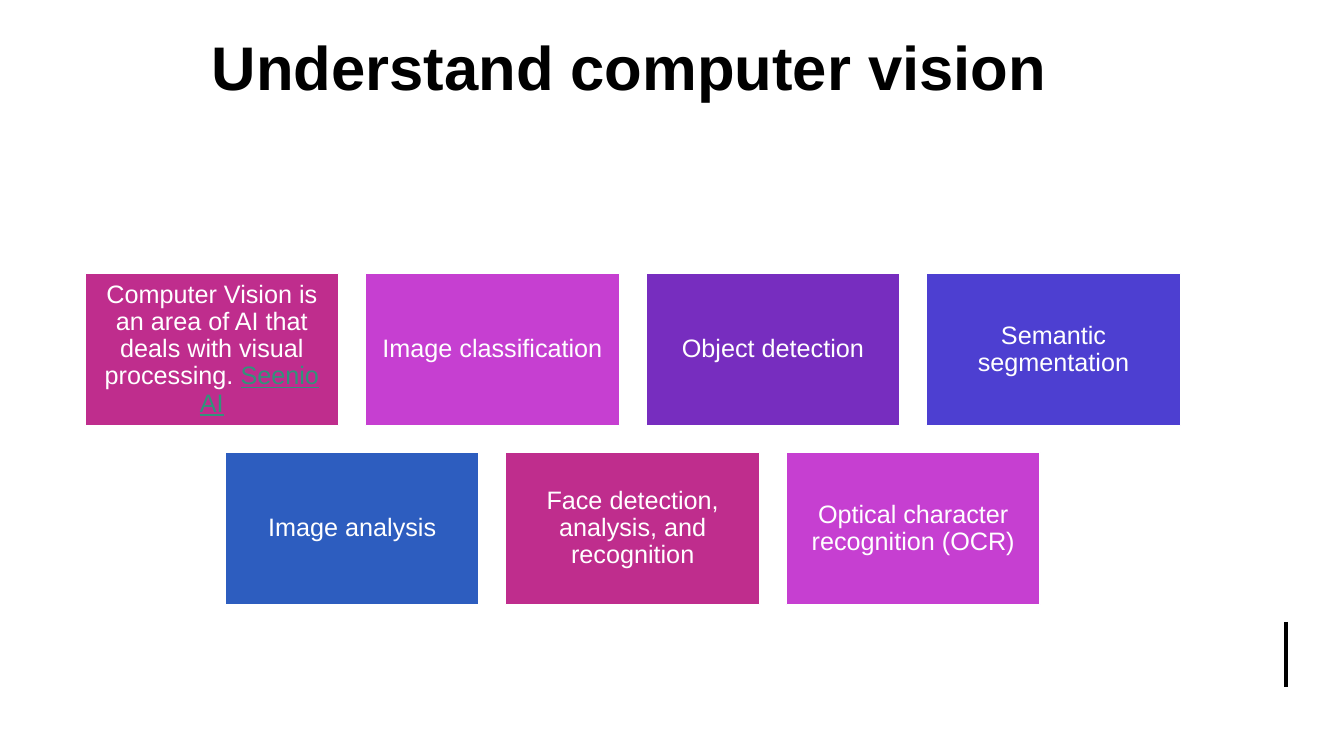
import dataclasses
import itertools

import pptx
import pptx.dml.color
import pptx.enum.shapes
import pptx.enum.text
import pptx.oxml.ns
import pptx.util
from lxml import etree
from pptx.util import Cm


@dataclasses.dataclass(frozen=True)
class Theme:
    font: str = "Arial"
    title_size: int = 44
    card_size: int = 18
    black: str = "000000"
    white: str = "FFFFFF"
    link: str = "31937B"
    cards: tuple = ("BF2D8D", "C63FD1", "772DBF", "4D3FD1", "2D5DBF")


def rgb(value):
    return pptx.dml.color.RGBColor.from_string(value)


def add_text(p, text, font, size, color, bold=False, underline=False):
    """Append a formatted run to a centred paragraph."""
    p.alignment = pptx.enum.text.PP_ALIGN.CENTER
    p.line_spacing = 0.9
    r = p.add_run()
    r.text = text
    r.font.name = font
    r.font.size = pptx.util.Pt(size)
    r.font.color.rgb = rgb(color)
    r.font.bold = bold
    r.font.underline = underline


class SlideBuilder:
    def __init__(self, s, theme):
        self.s = s
        self.theme = theme
        s.background.fill.solid()
        s.background.fill.fore_color.rgb = rgb(theme.white)

    def title(self, text, left, top, width, height):
        sp = self.s.shapes.title
        sp.left, sp.top, sp.width, sp.height = map(Cm, (left, top, width, height))
        tf = sp.text_frame
        tf.word_wrap = True
        tf.auto_size = pptx.enum.text.MSO_AUTO_SIZE.NONE
        tf.vertical_anchor = pptx.enum.text.MSO_ANCHOR.TOP
        add_text(tf.paragraphs[0], text, self.theme.font, self.theme.title_size,
                 self.theme.black, bold=True)

    def card(self, text, fill, left, top, width, height, link=""):
        sp = self.s.shapes.add_shape(pptx.enum.shapes.MSO_SHAPE.RECTANGLE,
                                     Cm(left), Cm(top), Cm(width), Cm(height))
        sp.shadow.inherit = False
        sp.fill.solid()
        sp.fill.fore_color.rgb = rgb(fill)
        sp.line.color.rgb = rgb(self.theme.white)
        sp.line.width = pptx.util.Pt(1)
        tf = sp.text_frame
        tf.word_wrap = True
        tf.vertical_anchor = pptx.enum.text.MSO_ANCHOR.MIDDLE
        tf.margin_left = tf.margin_right = tf.margin_top = tf.margin_bottom = Cm(0.18)
        p = tf.paragraphs[0]
        add_text(p, text, self.theme.font, self.theme.card_size, self.theme.white)
        if link:
            add_text(p, link, self.theme.font, self.theme.card_size,
                     self.theme.link, underline=True)

    def line(self, x1, y1, x2, y2, weight):
        c = self.s.shapes.add_connector(pptx.enum.shapes.MSO_CONNECTOR.STRAIGHT,
                                        Cm(x1), Cm(y1), Cm(x2), Cm(y2))
        c.line.color.rgb = rgb(self.theme.black)
        c.line.width = pptx.util.Pt(weight)
        etree.SubElement(c._element.spPr, pptx.oxml.ns.qn("a:effectLst"))


CARD_ROWS = (
    (
        ("Computer Vision is an area of AI that deals with visual processing. ", "Seenio AI"),
        ("Image classification", ""),
        ("Object detection", ""),
        ("Semantic segmentation", ""),
    ),
    (
        ("Image analysis", ""),
        ("Face detection, analysis, and recognition", ""),
        ("Optical character recognition (OCR)", ""),
    ),
)
CARD_W, CARD_H, GAP = 6.4, 3.84, 0.67
GRID_LEFT, GRID_TOP = 2.14, 6.89


def main():
    prs = pptx.Presentation()
    prs.slide_width, prs.slide_height = Cm(33.87), Cm(19.05)
    theme = Theme()
    slide = SlideBuilder(prs.slides.add_slide(prs.slide_layouts[5]), theme)

    slide.title("Understand computer vision", 2.11, 0.81, 27.51, 3.23)
    slide.line(32.41, 15.67, 32.41, 17.32, 3)

    colors = itertools.cycle(theme.cards)
    columns = max(map(len, CARD_ROWS))
    for i, row in enumerate(CARD_ROWS):
        indent = (columns - len(row)) * (CARD_W + GAP) / 2
        for j, (text, link) in enumerate(row):
            slide.card(text, next(colors),
                       GRID_LEFT + indent + j * (CARD_W + GAP),
                       GRID_TOP + i * (CARD_H + GAP),
                       CARD_W, CARD_H, link)

    prs.save("out.pptx")


if __name__ == "__main__":
    main()
